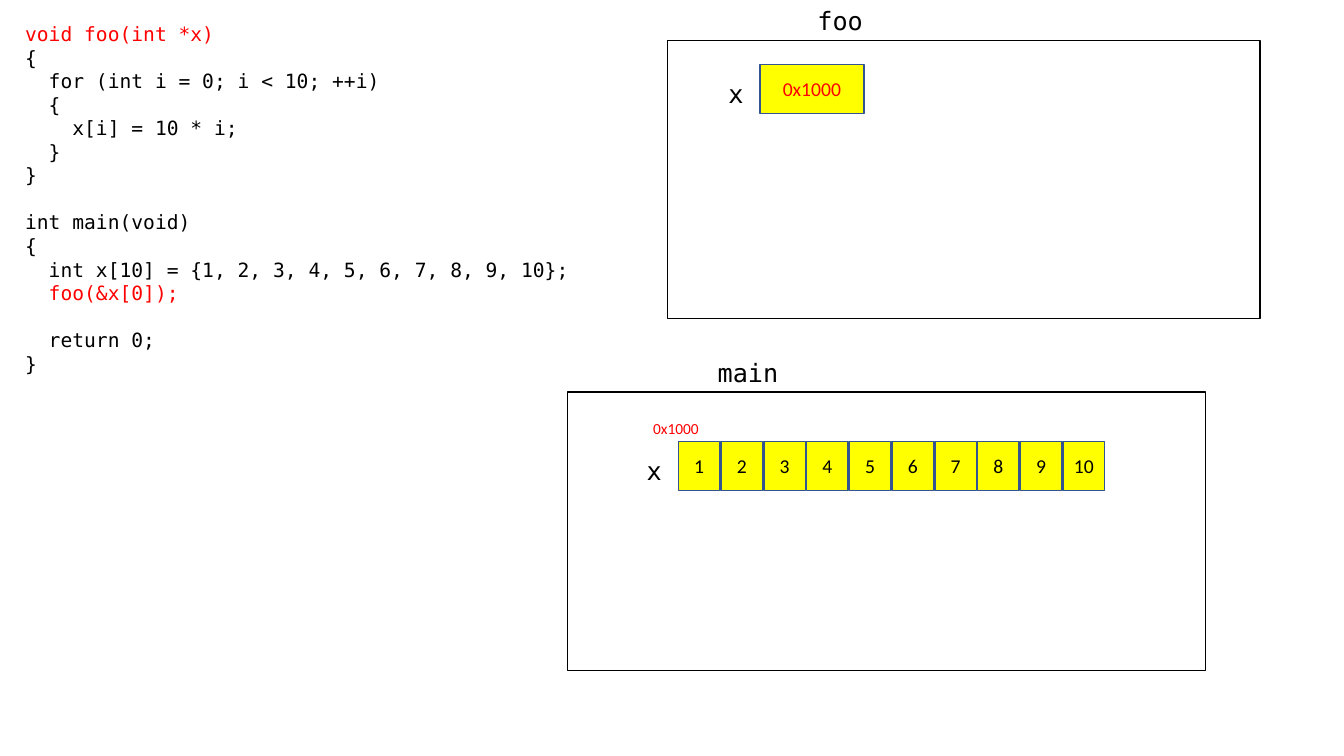
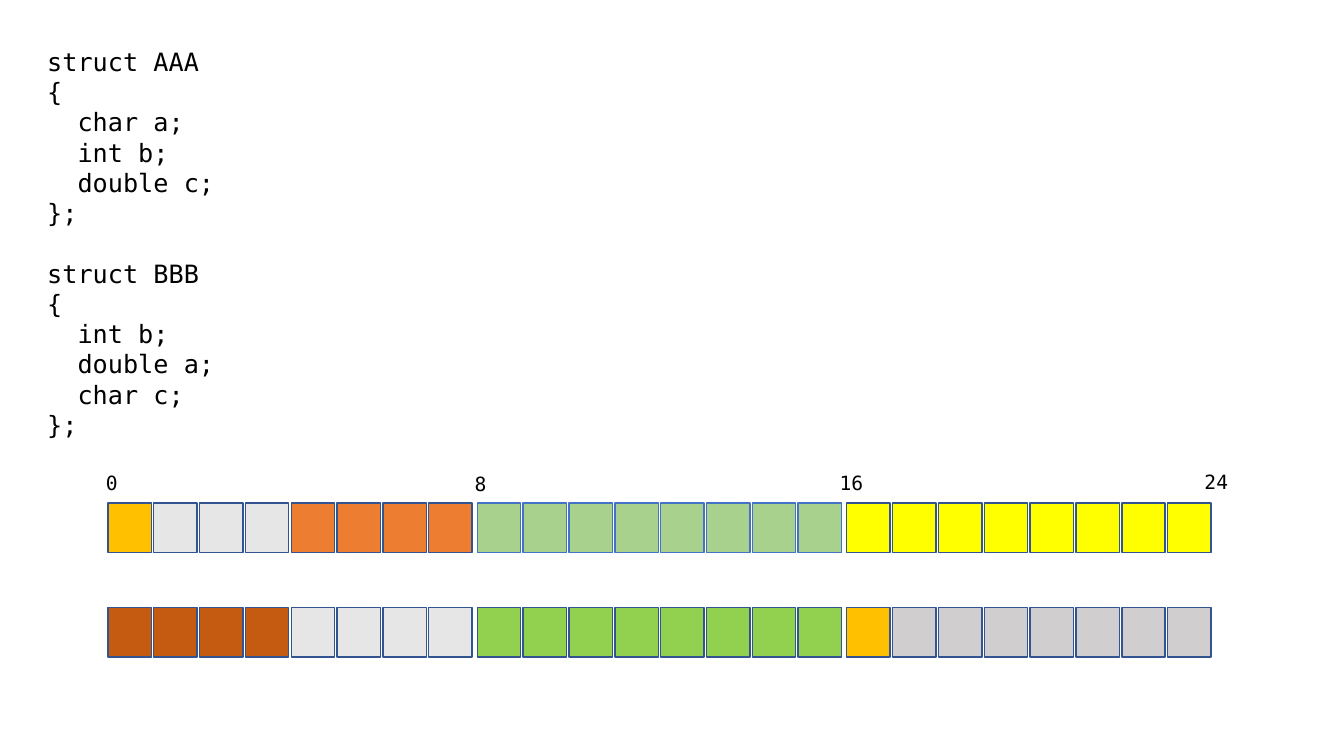
from dataclasses import dataclass

from lxml import etree
from pptx import Presentation
from pptx import util as u
from pptx.dml import color
from pptx.enum import shapes, text
from pptx.oxml import ns


@dataclass(frozen=True)
class Theme:
    code_font: str = "DejaVu Sans Mono"
    value_font: str = "Calibri"
    name_size: int = 18
    body_size: int = 14
    address_size: int = 11
    line_width: int = 1
    black: str = "000000"
    white: str = "FFFFFF"
    red: str = "FF0000"
    navy: str = "325491"
    blue: str = "4472C4"
    yellow: str = "FFFF00"
    amber: str = "FFC000"
    orange: str = "ED7D31"
    rust: str = "C55A11"
    sage: str = "A9D18E"
    green: str = "92D050"
    light_gray: str = "E7E6E6"
    gray: str = "D0CECE"


THEME = Theme()
SLIDE_WIDTH = u.Inches(40 / 3)
SLIDE_HEIGHT = u.Inches(7.5)

# Python-level lengths below are percentages of the slide's width and height.
CELL_HEIGHT = 6.53
NAME_HEIGHT = 5.33
FRAME_HEIGHT = 36.8
ELEMENT_WIDTH, ELEMENT_PITCH = 3.08, 3.18
BYTE_WIDTH, BYTE_PITCH = 3.23, 3.41
WORD_BYTES, WORD_PITCH = 8, 27.49
MEMORY_LEFT = 8.03

POINTER_CODE = """void foo(int *x)
{
  for (int i = 0; i < 10; ++i)
  {
    x[i] = 10 * i;
  }
}

int main(void)
{
  int x[10] = {1, 2, 3, 4, 5, 6, 7, 8, 9, 10};
  foo(&x[0]);

  return 0;
}"""
CALL_LINES = ("void foo(int *x)", "  foo(&x[0]);")

STRUCT_CODE = """struct AAA
{
  char a;
  int b;
  double c;
};

struct BBB
{
  int b;
  double a;
  char c;
};"""


def place(left, top, width, height):
    return (
        u.Emu(round(SLIDE_WIDTH * left / 100)),
        u.Emu(round(SLIDE_HEIGHT * top / 100)),
        u.Emu(round(SLIDE_WIDTH * width / 100)),
        u.Emu(round(SLIDE_HEIGHT * height / 100)),
    )


def rgb(value):
    return color.RGBColor.from_string(value)


def format_paragraph(paragraph, font_name, size, font_color):
    for run in paragraph.runs:
        run.font.name = font_name
        run.font.size = u.Pt(size)
        run.font.color.rgb = rgb(font_color)
    if not paragraph.runs:
        ending = etree.SubElement(
            paragraph._p, ns.qn("a:endParaRPr"), sz=str(size * 100)
        )
        etree.SubElement(ending, ns.qn("a:latin"), typeface=font_name)


def add_text(slide, box, content, size, font_name=THEME.code_font,
             font_color=THEME.black, red_lines=()):
    text_frame = slide.shapes.add_textbox(*place(*box)).text_frame
    text_frame.word_wrap = True
    text_frame.text = content
    for paragraph in text_frame.paragraphs:
        line_color = THEME.red if paragraph.text in red_lines else font_color
        format_paragraph(paragraph, font_name, size, line_color)


def add_box(slide, box, fill, line, content="", font_color=THEME.black):
    shape = slide.shapes.add_shape(shapes.MSO_SHAPE.RECTANGLE, *place(*box))
    shape.shadow.inherit = False
    shape.fill.solid()
    shape.fill.fore_color.rgb = rgb(fill)
    shape.line.color.rgb = rgb(line)
    shape.line.width = u.Pt(THEME.line_width)
    if content:
        text_frame = shape.text_frame
        text_frame.margin_left = text_frame.margin_right = 0
        text_frame.vertical_anchor = text.MSO_ANCHOR.MIDDLE
        text_frame.text = content
        paragraph = text_frame.paragraphs[0]
        paragraph.alignment = text.PP_ALIGN.CENTER
        format_paragraph(paragraph, THEME.value_font, THEME.body_size, font_color)


def add_stack_frame(slide, name, left, top, width):
    add_box(slide, (left, top, width, FRAME_HEIGHT), THEME.white, THEME.black)
    add_text(slide, (left + 10.43, top - NAME_HEIGHT, 6.6, NAME_HEIGHT),
             name, THEME.name_size)


def add_variable(slide, name, values, left, top, width, font_color=THEME.black):
    for index, value in enumerate(values):
        cell = (left + index * ELEMENT_PITCH, top, width, CELL_HEIGHT)
        add_box(slide, cell, THEME.yellow, THEME.navy, value, font_color)
    add_text(slide, (left - 3.1, top + 1.13, 3.08, NAME_HEIGHT),
             name, THEME.name_size)


def add_memory_row(slide, top, fields):
    byte_colors = [pair for count, *pair in fields for _ in range(count)]
    for index, (fill, line) in enumerate(byte_colors):
        word, byte = divmod(index, WORD_BYTES)
        left = MEMORY_LEFT + word * WORD_PITCH + byte * BYTE_PITCH
        add_box(slide, (left, top, BYTE_WIDTH, CELL_HEIGHT), fill, line)


def build_pointer_slide(slide):
    add_text(slide, (1.13, 2.27, 50, 48.53), POINTER_CODE, THEME.body_size,
             red_lines=CALL_LINES)
    add_stack_frame(slide, "main", 42.23, 51.87, 47.48)
    add_variable(slide, "x", [str(value) for value in range(1, 11)],
                 50.48, 58.4, ELEMENT_WIDTH)
    add_text(slide, (47.85, 54.8, 8.03, 3.87), "0x1000", THEME.address_size,
             THEME.value_font, THEME.red)
    add_stack_frame(slide, "foo", 49.65, 5.33, 44.1)
    add_variable(slide, "x", ["0x1000"], 56.55, 8.53, 7.73, THEME.red)


def build_struct_slide(slide):
    add_text(slide, (2.78, 5.47, 18.68, 53.87), STRUCT_CODE, THEME.name_size)
    add_memory_row(slide, 66.53, [
        (1, THEME.amber, THEME.navy),
        (3, THEME.light_gray, THEME.navy),
        (4, THEME.orange, THEME.navy),
        (8, THEME.sage, THEME.blue),
        (8, THEME.yellow, THEME.navy),
    ])
    add_memory_row(slide, 80.4, [
        (4, THEME.rust, THEME.navy),
        (4, THEME.light_gray, THEME.navy),
        (8, THEME.green, THEME.navy),
        (1, THEME.amber, THEME.navy),
        (7, THEME.gray, THEME.navy),
    ])
    offsets = [("0", 7.13, 61.6), ("8", 34.58, 61.73),
               ("16", 61.73, 61.6), ("24", 88.88, 61.47)]
    for offset, left, top in offsets:
        add_text(slide, (left, top, 3.83, 4.53), offset, THEME.body_size)


def main():
    presentation = Presentation()
    presentation.slide_width = SLIDE_WIDTH
    presentation.slide_height = SLIDE_HEIGHT
    blank_layout = presentation.slide_layouts[6]
    for build in (build_pointer_slide, build_struct_slide):
        build(presentation.slides.add_slide(blank_layout))
    presentation.save("out.pptx")


if __name__ == "__main__":
    main()
